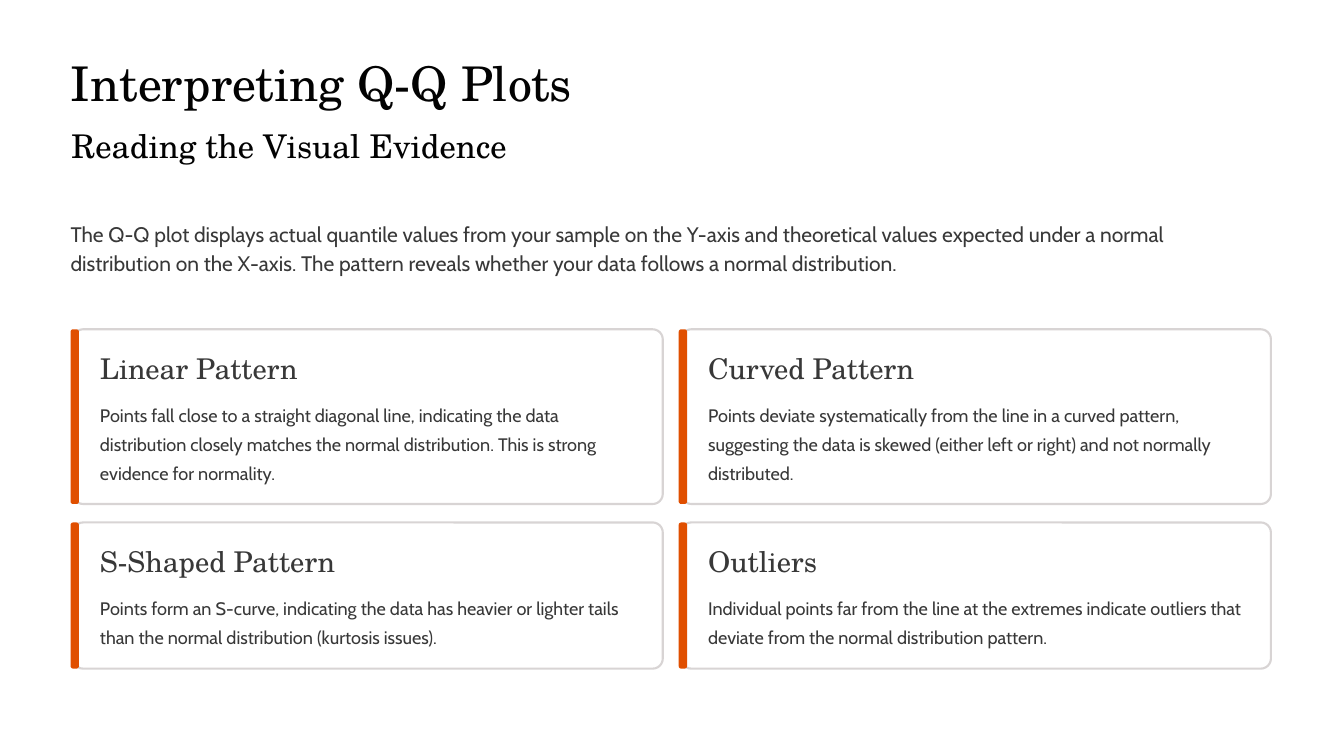
from pptx import Presentation
from pptx.dml.color import RGBColor
from pptx.enum.shapes import MSO_SHAPE
from pptx.util import Inches, Pt

# Content
TITLE = "Interpreting Q-Q Plots"
SUBTITLE = "Reading the Visual Evidence"
INTRO = (
    "The Q-Q plot displays actual quantile values from your sample on the Y-axis "
    "and theoretical values expected under a normal distribution on the X-axis. "
    "The pattern reveals whether your data follows a normal distribution."
)
PATTERN_ROWS = [
    [
        ("Linear Pattern",
         "Points fall close to a straight diagonal line, indicating the data "
         "distribution closely matches the normal distribution. This is strong "
         "evidence for normality."),
        ("Curved Pattern",
         "Points deviate systematically from the line in a curved pattern, "
         "suggesting the data is skewed (either left or right) and not normally "
         "distributed."),
    ],
    [
        ("S-Shaped Pattern",
         "Points form an S-curve, indicating the data has heavier or lighter tails "
         "than the normal distribution (kurtosis issues)."),
        ("Outliers",
         "Individual points far from the line at the extremes indicate outliers that "
         "deviate from the normal distribution pattern."),
    ],
]

# Formats: font, size, line spacing, colour
STYLES = {
    "title": ("TeX Gyre Schola", 41, 51, "020202"),
    "subtitle": ("TeX Gyre Schola", 28, 41, "020202"),
    "intro": ("Cabin", 18, 25, "383838"),
    "heading": ("TeX Gyre Schola", 24.5, 30.5, "383838"),
    "body": ("Cabin", 15.5, 25, "383838"),
}
WHITE, BORDER, ACCENT = "FFFFFF", "D8D4D4", "E04F00"

# Grid, in inches
WIDTH, HEIGHT = 16, 9
MARGIN = 0.84
TITLE_WIDTH = 6.5
COLUMN_STEP = 7.24
GRID_TOP, ROW_GAP = 3.92, 0.22
ROW_HEIGHTS = [2.08, 1.74]
CARD_INSET, CARD_WIDTH, CARD_RADIUS = 0.03, 7.02, 0.12
BAR_WIDTH, BAR_RADIUS = 0.1, 0.03
TEXT_INSET, BODY_WIDTH = 0.35, 6.46
HEADING_DROP, BODY_DROP, BODY_BOTTOM = 0.24, 0.8, 0.24


def color(hex_value):
    return RGBColor.from_string(hex_value)


def add_text(slide, text, style, left, top, width, height):
    font_name, size, spacing, ink = STYLES[style]
    frame = slide.shapes.add_textbox(*map(Inches, (left, top, width, height))).text_frame
    settings = {"margin_left": 0, "margin_top": 0, "margin_right": 0,
                "margin_bottom": 0, "word_wrap": True}
    for name, value in settings.items():
        setattr(frame, name, value)
    paragraph = frame.paragraphs[0]
    paragraph.line_spacing = Pt(spacing)
    run = paragraph.add_run()
    run.text = text
    for name, value in {"name": font_name, "size": Pt(size)}.items():
        setattr(run.font, name, value)
    run.font.color.rgb = color(ink)


def add_panel(slide, left, top, width, height, radius, fill, border=None):
    panel = slide.shapes.add_shape(
        MSO_SHAPE.ROUNDED_RECTANGLE, *map(Inches, (left, top, width, height)))
    panel.shadow.inherit = False
    panel.adjustments[0] = radius / min(width, height)
    panel.fill.solid()
    panel.fill.fore_color.rgb = color(fill)
    if border:
        panel.line.color.rgb = color(border)
        panel.line.width = Pt(1.8)
    else:
        panel.line.fill.background()


def add_card(slide, heading, body, left, top, height):
    add_panel(slide, left + CARD_INSET, top, CARD_WIDTH, height, CARD_RADIUS, WHITE, BORDER)
    add_panel(slide, left, top, BAR_WIDTH, height, BAR_RADIUS, ACCENT)
    text_left = left + TEXT_INSET
    add_text(slide, heading, "heading", text_left, top + HEADING_DROP, 3.42, 0.43)
    add_text(slide, body, "body", text_left, top + BODY_DROP, BODY_WIDTH,
             height - BODY_DROP - BODY_BOTTOM)


def main():
    deck = Presentation()
    deck.slide_width, deck.slide_height = Inches(WIDTH), Inches(HEIGHT)
    slide = deck.slides.add_slide(deck.slide_layouts[6])
    slide.background.fill.solid()
    slide.background.fill.fore_color.rgb = color(WHITE)

    # Title block and introduction
    add_text(slide, TITLE, "title", MARGIN, 0.61, TITLE_WIDTH, 0.71)
    add_text(slide, SUBTITLE, "subtitle", MARGIN + 0.01, 1.4, TITLE_WIDTH, 0.57)
    add_text(slide, INTRO, "intro", MARGIN, 2.59, 14.26, 0.69)

    # Pattern cards
    top = GRID_TOP
    for row, height in zip(PATTERN_ROWS, ROW_HEIGHTS):
        for column, (heading, body) in enumerate(row):
            add_card(slide, heading, body, MARGIN + column * COLUMN_STEP, top, height)
        top += height + ROW_GAP

    deck.save("out.pptx")


if __name__ == "__main__":
    main()
